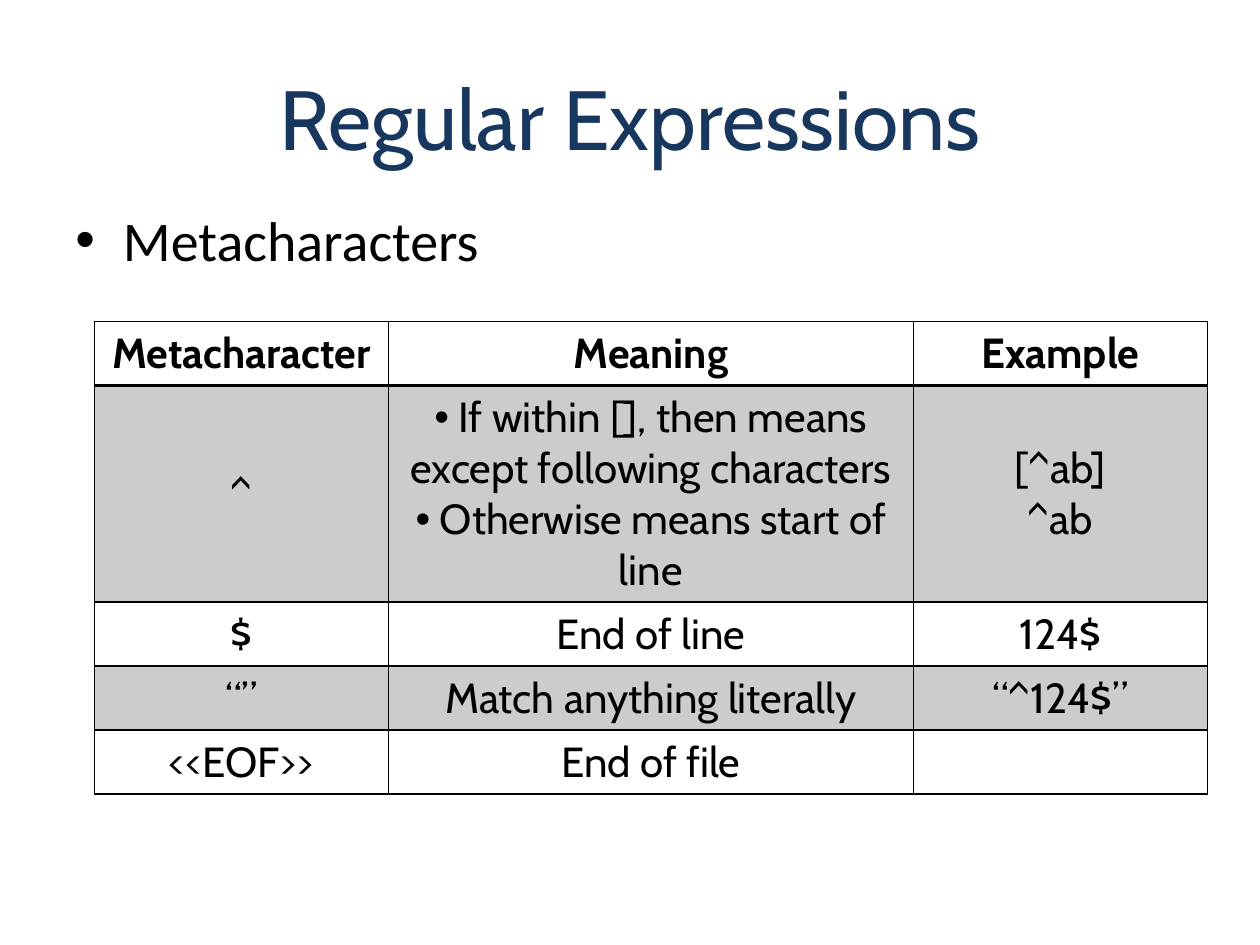
"""Build a slide on the metacharacters of regular expressions."""
import pptx
import pptx.dml.color
import pptx.enum.text
import pptx.oxml
import pptx.oxml.ns
import pptx.util
from pptx.util import Cm

INK = {"title": "17375E", "text": "000000", "line": "000000", "band": "000000"}
MID = pptx.enum.text.MSO_ANCHOR.MIDDLE
TOP = pptx.enum.text.MSO_ANCHOR.TOP
CENTER = pptx.enum.text.PP_ALIGN.CENTER
LEFT = pptx.enum.text.PP_ALIGN.LEFT
HEAD = ("Metacharacter", "Meaning", "Example")
ROWS = (
    ("^", " If within [], then means except following characters\n"
          " Otherwise means start of line", "[^ab]\n^ab"),
    ("$", "End of line", "124$"),
    ("“”", "Match anything literally", "“^124$”"),
    ("<<EOF>>", "End of file", ""),
)


def node(xml):
    return pptx.oxml.parse_xml(xml.replace(" ", " " + pptx.oxml.ns.nsdecls("a") + " ", 1))


def style(frame, size, font, ink, align, bold=False):
    for par in frame.paragraphs:
        par.alignment = align
        for run in par.runs:
            run.font.size = pptx.util.Pt(size)
            run.font.name = font
            run.font.bold = bold
            run.font.color.rgb = pptx.dml.color.RGBColor.from_string(INK[ink])


def bullet(par, left=0):
    props = par._p.get_or_add_pPr()
    props.set("marL", str(left))
    props.set("indent", str(-left))
    props.append(node('<a:buFont typeface="Arial"/>'))
    props.append(node('<a:buChar char="•"/>'))


def label(slide, box, text, size, font, ink, align, anchor):
    frame = slide.shapes.add_textbox(*map(Cm, box)).text_frame
    frame.word_wrap = True
    frame.vertical_anchor = anchor
    frame.text = text
    style(frame, size, font, ink, align)
    return frame


def border(cell, top, base):
    props = cell._tc.get_or_add_tcPr()
    for side, width in zip("LRTB", (1, 1, top, base)):
        props.append(node(
            f'<a:ln{side} w="{pptx.util.Pt(width)}"><a:solidFill>'
            f'<a:srgbClr val="{INK["line"]}"/></a:solidFill></a:ln{side}>'))


def shade(cell, band):
    if not band:
        cell.fill.background()
        return
    cell.fill.solid()
    cell.fill.fore_color.rgb = pptx.dml.color.RGBColor.from_string(INK["band"])
    fill = cell._tc.tcPr.find(pptx.oxml.ns.qn("a:solidFill"))
    fill[0].append(node('<a:alpha val="20000"/>'))


def grid(slide):
    data = (HEAD,) + ROWS
    wide = (5.93, 10.58, 5.93)
    high = (1.29, 4.37, 1.29, 1.29, 1.29)
    table = slide.shapes.add_table(
        len(data), len(wide), Cm(1.9), Cm(6.48), Cm(sum(wide)), Cm(sum(high))).table
    table.first_row = table.horz_banding = False
    for col, width in zip(table.columns, wide):
        col.width = Cm(width)
    for i, row in enumerate(data):
        table.rows[i].height = Cm(high[i])
        for j, text in enumerate(row):
            cell = table.cell(i, j)
            cell.text_frame.text = text
            cell.vertical_anchor = MID if i else TOP
            style(cell.text_frame, 24, "Cabin", "text", CENTER, i == 0)
            border(cell, 2 if i == 1 else 1, 2 if i == 0 else 1)
            shade(cell, i % 2)
    for par in table.cell(1, 1).text_frame.paragraphs:
        bullet(par)


def main():
    deck = pptx.Presentation()
    deck.slide_width, deck.slide_height = Cm(25.4), Cm(19.05)
    slide = deck.slides.add_slide(deck.slide_layouts[6])
    label(slide, (1.27, 0.76, 22.86, 3.18), "Regular Expressions",
          48, "Cabin", "title", CENTER, MID)
    body = label(slide, (1.27, 4.01, 23.7, 15.04), "Metacharacters",
                 32, "Calibri", "text", LEFT, TOP)
    body.paragraphs[0].space_before = pptx.util.Pt(6.4)
    bullet(body.paragraphs[0], Cm(0.96))
    grid(slide)
    deck.save("out.pptx")


if __name__ == "__main__":
    main()
